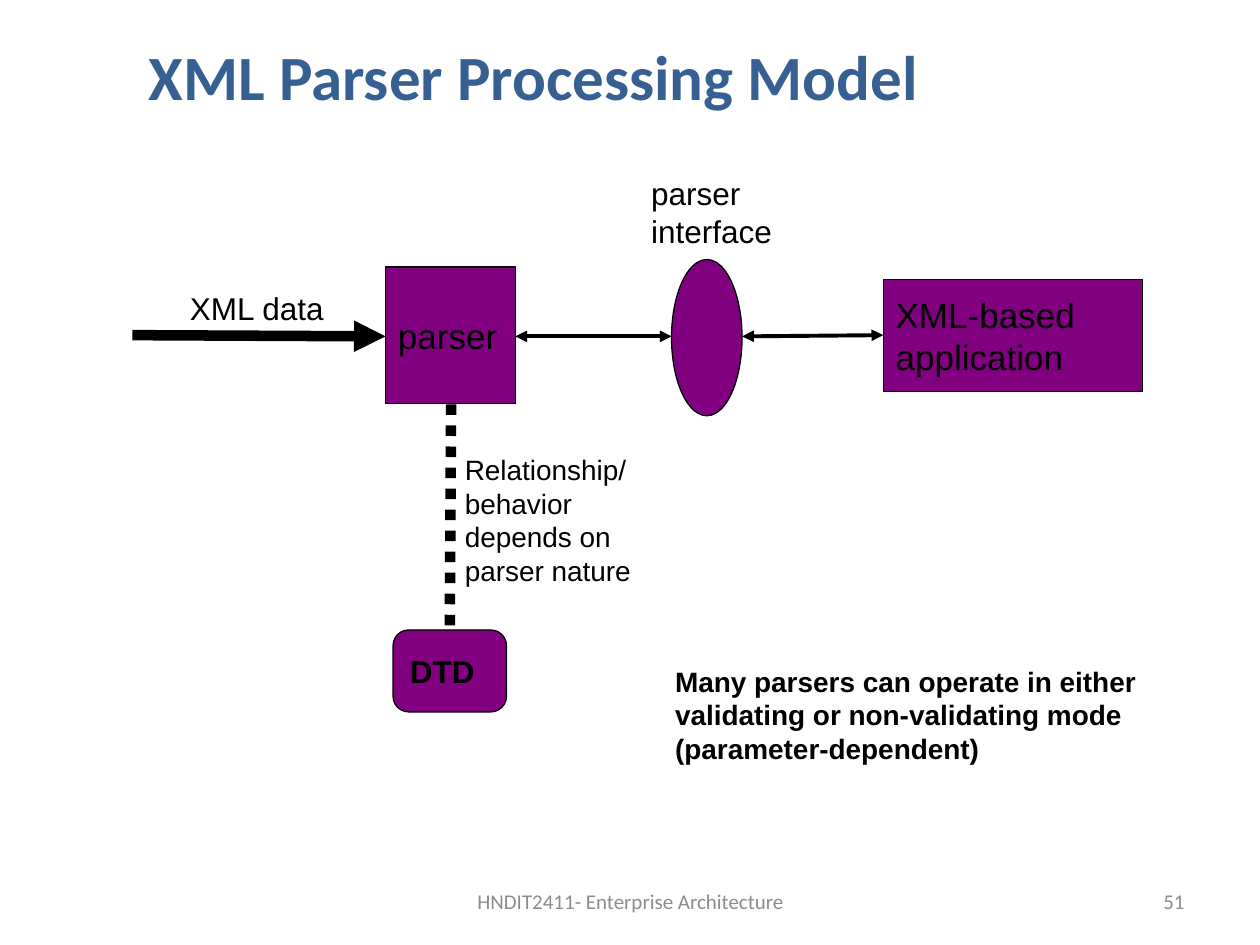
from dataclasses import dataclass

import lxml.etree
import pptx
import pptx.dml.color
import pptx.enum.dml
import pptx.enum.shapes
import pptx.enum.text
import pptx.oxml.ns
import pptx.util

Inches = pptx.util.Inches
Pt = pptx.util.Pt
Shape = pptx.enum.shapes.MSO_SHAPE
Align = pptx.enum.text.PP_ALIGN
AutoSize = pptx.enum.text.MSO_AUTO_SIZE
qn = pptx.oxml.ns.qn


@dataclass(frozen=True)
class Theme:
    ink: str = "000000"
    heading: str = "376092"
    muted: str = "8C8C8C"
    node: str = "800080"
    body_font: str = "Arial"
    heading_font: str = "Calibri"
    title_size: int = 36
    node_size: int = 20
    label_size: int = 18
    note_size: int = 16
    footer_size: int = 12
    outline: float = 0.75
    thin: float = 2.25
    thick: float = 6


THEME = Theme()


def rgb(value):
    return pptx.dml.color.RGBColor.from_string(value)


def write_text(box, text, *, size, color=THEME.ink, font=THEME.body_font,
               bold=False, align=Align.LEFT, wrap=False, grow=False):
    frame = box.text_frame
    frame.word_wrap = wrap
    frame.auto_size = AutoSize.SHAPE_TO_FIT_TEXT if grow else AutoSize.NONE
    frame.vertical_anchor = pptx.enum.text.MSO_ANCHOR.MIDDLE
    for index, line in enumerate(text.split("\n")):
        para = frame.add_paragraph() if index else frame.paragraphs[0]
        para.alignment = align
        span = para.add_run()
        span.text = line
        span.font.name = font
        span.font.size = Pt(size)
        span.font.bold = bold
        span.font.color.rgb = rgb(color)


def add_text(page, text, left, top, width, height, **style):
    box = page.shapes.add_textbox(
        Inches(left), Inches(top), Inches(width), Inches(height))
    write_text(box, text, **style)


def add_node(page, kind, left, top, width, height):
    node = page.shapes.add_shape(
        kind, Inches(left), Inches(top), Inches(width), Inches(height))
    node.shadow.inherit = False
    node.fill.solid()
    node.fill.fore_color.rgb = rgb(THEME.node)
    node.line.color.rgb = rgb(THEME.ink)
    node.line.width = Pt(THEME.outline)
    return node


def add_line(page, start, end, width, arrowheads=(), dash=None):
    line = page.shapes.add_connector(
        pptx.enum.shapes.MSO_CONNECTOR.STRAIGHT,
        *(Inches(value) for value in start + end))
    line.line.color.rgb = rgb(THEME.ink)
    line.line.width = Pt(width)
    if dash:
        line.line.dash_style = dash
    properties = line._element.spPr
    outline = properties.find(qn("a:ln"))
    for arrowhead in arrowheads:
        lxml.etree.SubElement(outline, qn(arrowhead), type="triangle")
    lxml.etree.SubElement(properties, qn("a:effectLst"))


def add_nodes(page):
    parser = add_node(page, Shape.RECTANGLE, 3.06, 2.12, 1.03, 1.08)
    write_text(parser, "parser", size=THEME.node_size)
    add_node(page, Shape.OVAL, 5.33, 2.06, 0.56, 1.24)
    application = add_node(page, Shape.RECTANGLE, 7.01, 2.22, 2.06, 0.89)
    write_text(application, "XML-based\napplication", size=THEME.node_size)
    dtd = add_node(page, Shape.ROUNDED_RECTANGLE, 3.12, 5, 0.9, 0.65)
    dtd.adjustments[0] = 0.19
    write_text(dtd, "DTD", size=THEME.label_size, bold=True)


def add_links(page):
    both = ("a:headEnd", "a:tailEnd")
    add_line(page, (1.05, 2.66), (3.06, 2.67), THEME.thick, ("a:tailEnd",))
    add_line(page, (5.33, 2.67), (4.09, 2.67), THEME.thin, both)
    add_line(page, (7.01, 2.66), (5.89, 2.67), THEME.thin, both)
    add_line(page, (3.58, 3.21), (3.57, 5), THEME.thick,
             dash=pptx.enum.dml.MSO_LINE.ROUND_DOT)


def add_labels(page):
    add_text(page, "XML data", 1.41, 2.24, 1.27, 0.4,
             size=THEME.label_size, grow=True)
    add_text(page, "parser\ninterface", 5.07, 1.33, 1.16, 0.7,
             size=THEME.label_size, grow=True)
    add_text(page, "Relationship/\nbehavior\ndepends on\nparser nature",
             3.59, 3.54, 1.52, 1.17, size=THEME.note_size, grow=True)
    add_text(page, "Many parsers can operate in either\n"
             "validating or non-validating mode\n(parameter-dependent)",
             5.26, 5.22, 3.87, 0.9, size=THEME.note_size, bold=True,
             wrap=True, grow=True)


def add_footer(page):
    style = dict(size=THEME.footer_size, color=THEME.muted,
                 font=THEME.heading_font, wrap=True)
    add_text(page, "HNDIT2411- Enterprise Architecture",
             3.42, 6.95, 3.17, 0.4, align=Align.CENTER, **style)
    add_text(page, "51", 7.17, 6.95, 2.33, 0.4, align=Align.RIGHT, **style)


def main():
    deck = pptx.Presentation()
    deck.slide_width = Inches(10)
    deck.slide_height = Inches(7.5)
    page = deck.slides.add_slide(deck.slide_layouts[6])
    add_text(page, "XML Parser Processing Model", 1.08, 0.33, 8.65, 0.53,
             size=THEME.title_size, color=THEME.heading,
             font=THEME.heading_font, bold=True, wrap=True)
    add_nodes(page)
    add_links(page)
    add_labels(page)
    add_footer(page)
    deck.save("out.pptx")


if __name__ == "__main__":
    main()
